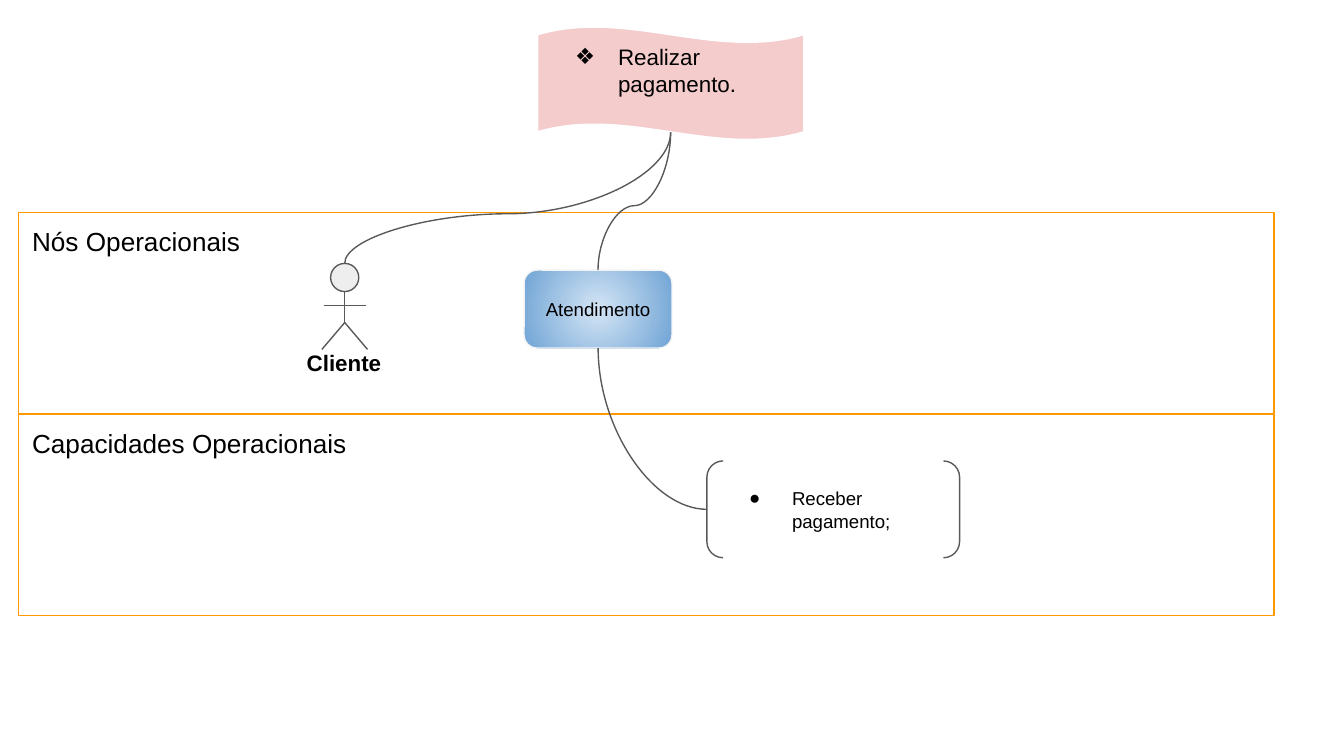
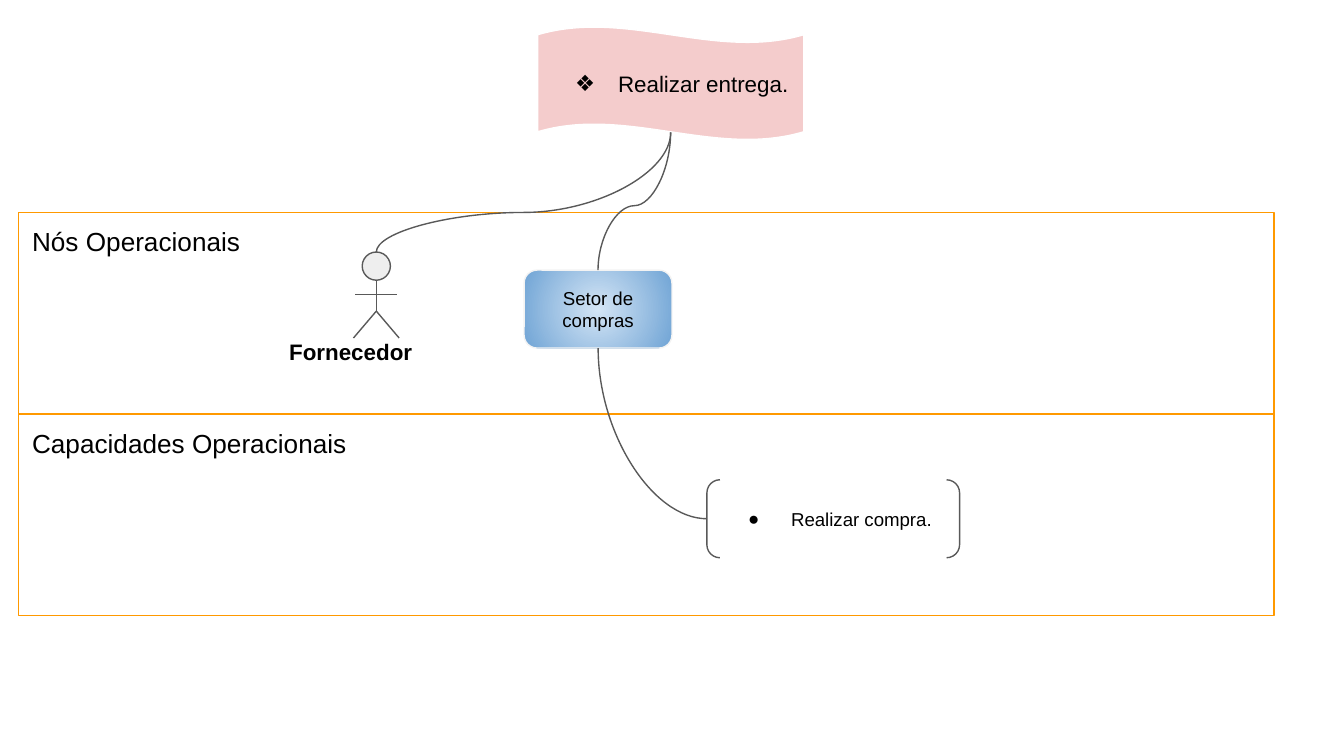
from lxml.etree import SubElement
from pptx import Presentation
from pptx.dml.color import RGBColor
from pptx.enum.shapes import MSO_CONNECTOR, MSO_SHAPE
from pptx.enum.text import MSO_ANCHOR, PP_ALIGN
from pptx.oxml import parse_xml
from pptx.oxml.ns import nsdecls, qn
from pptx.util import Inches, Pt

BLACK = RGBColor(0x00, 0x00, 0x00)
ORANGE = RGBColor(0xFF, 0x99, 0x00)
PINK = RGBColor(0xF4, 0xCC, 0xCC)
WHITE = RGBColor(0xFF, 0xFF, 0xFF)
INK = RGBColor(0x59, 0x59, 0x59)
HEAD_GRAY = RGBColor(0xEE, 0xEE, 0xEE)
NODE_EDGE = RGBColor(0xF3, 0xF3, 0xF3)
NODE_CENTER = RGBColor(0xD4, 0xE5, 0xF5)
NODE_RIM = RGBColor(0x70, 0xA4, 0xD5)

FONT = "Arial"
LINE_WIDTH = Pt(0.75)
TOP, LEFT, BOTTOM = 0, 1, 2

# The grid has 100 columns across the slide, and rows of the same size.
SLIDE_COLUMNS, SLIDE_ROWS = 100, 56.25
LANE_LEFT, LANES_TOP, LANE_WIDTH, LANE_HEIGHT = 1.4, 15.8, 93.4, 15
LANES = ("Nós Operacionais", "Capacidades Operacionais")
WAVE_DEPTH = 0.07
BRACKET_BOTTOM = 41.5


def grid(cells):
    return Inches(cells / 10)


def box(shapes, preset, left, top, width, height, edge, fill=None):
    shape = shapes.add_shape(preset, *map(grid, (left, top, width, height)))
    shape.shadow.inherit = False
    shape.line.color.rgb = edge
    shape.line.width = LINE_WIDTH
    if fill is None:
        shape.fill.background()
    else:
        shape.fill.solid()
        shape.fill.fore_color.rgb = fill
    return shape


def write(shape, text, size, align=PP_ALIGN.LEFT, anchor=MSO_ANCHOR.MIDDLE,
          bold=False, bullet=None, bottom_inset=1):
    frame = shape.text_frame
    frame.text = text
    frame.word_wrap = True
    frame.vertical_anchor = anchor
    frame.margin_left = frame.margin_right = frame.margin_top = grid(1)
    frame.margin_bottom = grid(bottom_inset)
    paragraph = frame.paragraphs[0]
    paragraph.alignment = align
    for run in paragraph.runs:
        run.font.name = FONT
        run.font.size = Pt(size)
        run.font.bold = bold
        run.font.color.rgb = BLACK
    if bullet:
        add_bullet(paragraph, bullet)


def add_bullet(paragraph, symbol):
    properties = paragraph._p.get_or_add_pPr()
    properties.set("marL", str(grid(5)))
    properties.set("indent", str(-grid(3.2)))
    color = SubElement(properties, qn("a:buClr"))
    SubElement(color, qn("a:srgbClr"), val=str(BLACK))
    SubElement(properties, qn("a:buFont"), typeface=FONT)
    SubElement(properties, qn("a:buChar"), char=symbol)


def style_connector(connector):
    connector.line.color.rgb = INK
    connector.line.width = LINE_WIDTH
    SubElement(connector._element.spPr, qn("a:effectLst"))


def curve(shapes, start, start_site, end, end_site, start_at, end_at, bend=None):
    """Leave start vertically; with a bend row, arrive at end vertically too."""
    connector = shapes.add_connector(MSO_CONNECTOR.CURVE, 0, 0, 0, 0)
    connector.begin_connect(start, start_site)
    connector.end_connect(end, end_site)
    (x1, y1), (x2, y2) = start_at, end_at
    across, down = x2 - x1, abs(y2 - y1)
    # The frame lies on its side and is turned about its centre.
    connector.left = grid((x1 + x2 - down) / 2)
    connector.top = grid((y1 + y2 - across) / 2)
    connector.width, connector.height = grid(down), grid(across)
    frame = connector._element.spPr.find(qn("a:xfrm"))
    frame.set("rot", str(270 * 60000))
    frame.set("flipH", "1" if y2 > y1 else "0")
    frame.set("flipV", "0")
    geometry = connector._element.spPr.find(qn("a:prstGeom"))
    if bend is None:
        geometry.set("prst", "curvedConnector2")
    else:
        share = round(abs(bend - y1) / down * 100000)
        SubElement(geometry.find(qn("a:avLst")), qn("a:gd"),
                   name="adj1", fmla=f"val {share}")
    style_connector(connector)


def add_lanes(shapes):
    for row, label in enumerate(LANES):
        lane = box(shapes, MSO_SHAPE.RECTANGLE, LANE_LEFT,
                   LANES_TOP + row * LANE_HEIGHT, LANE_WIDTH, LANE_HEIGHT, ORANGE)
        write(lane, label, 14, anchor=MSO_ANCHOR.TOP)


def add_goal(shapes, text, bottom_inset):
    goal = box(shapes, MSO_SHAPE.WAVE, 40, 2, 19.8, 8.4, WHITE, PINK)
    goal.adjustments[0] = WAVE_DEPTH
    goal.adjustments[1] = 0
    write(goal, text, 12, bullet="❖", bottom_inset=bottom_inset)
    return goal


def add_actor(shapes, name, x, top, label_x, label_width):
    """Draw a stick figure centred on x and return its head."""
    figure = shapes.add_group_shape().shapes
    head = box(figure, MSO_SHAPE.FLOWCHART_CONNECTOR,
               x - 1.05, top, 2.1, 2.1, INK, HEAD_GRAY)
    neck, arms, hip, feet = (top + drop for drop in (2.15, 3.15, 4.4, 6.4))
    limbs = (
        (x, neck, x, hip),
        (x - 1.55, arms, x + 1.55, arms),
        (x, hip, x - 1.7, feet),
        (x + 1.7, feet, x, hip),
    )
    for limb in limbs:
        style_connector(figure.add_connector(MSO_CONNECTOR.STRAIGHT, *map(grid, limb)))
    label = figure.add_textbox(*map(grid, (label_x - label_width / 2, top + 5.4,
                                           label_width, 3.8)))
    write(label, name, 12, PP_ALIGN.CENTER, MSO_ANCHOR.TOP, bold=True)
    return head


def add_node(shapes, text):
    node = box(shapes, MSO_SHAPE.ROUNDED_RECTANGLE, 39, 20.1, 11, 5.8, NODE_EDGE)
    properties = node._element.spPr
    properties.replace(properties.find(qn("a:noFill")), parse_xml(
        f'<a:gradFill {nsdecls("a")}><a:gsLst>'
        f'<a:gs pos="0"><a:srgbClr val="{NODE_CENTER}"/></a:gs>'
        f'<a:gs pos="100000"><a:srgbClr val="{NODE_RIM}"/></a:gs></a:gsLst>'
        '<a:path path="circle"><a:fillToRect l="50000" t="50000" r="50000" b="50000"/>'
        '</a:path></a:gradFill>'))
    write(node, text, 10, PP_ALIGN.CENTER)
    return node


def add_capability(shapes, text, height):
    capability = box(shapes, MSO_SHAPE.DOUBLE_BRACKET, 52.6,
                     BRACKET_BOTTOM - height, 18.8, height, INK)
    write(capability, text, 10, bullet="●")
    return capability


def add_process(deck, goal, goal_inset, actor, node, capability, bracket_height,
                actor_bend):
    shapes = deck.slides.add_slide(deck.slide_layouts[6]).shapes
    add_lanes(shapes)
    wave = add_goal(shapes, goal, goal_inset)
    head = add_actor(shapes, **actor)
    sector = add_node(shapes, node)
    bracket = add_capability(shapes, capability, bracket_height)

    goal_foot = (49.9, 9.85)
    curve(shapes, sector, TOP, wave, BOTTOM, (44.5, 20.1), goal_foot, 15.3)
    curve(shapes, head, TOP, wave, BOTTOM,
          (actor["x"], actor["top"]), goal_foot, actor_bend)
    curve(shapes, sector, BOTTOM, bracket, LEFT, (44.5, 25.9),
          (52.6, BRACKET_BOTTOM - bracket_height / 2))


def main():
    deck = Presentation()
    deck.slide_width, deck.slide_height = grid(SLIDE_COLUMNS), grid(SLIDE_ROWS)
    add_process(
        deck, "Realizar pagamento.", 2.9,
        dict(name="Cliente", x=25.65, top=19.6, label_x=25.6, label_width=9),
        "Atendimento", "Receber pagamento;", 7.2, actor_bend=15.9)
    add_process(
        deck, "Realizar entrega.", 1,
        dict(name="Fornecedor", x=28, top=18.75, label_x=26.1, label_width=12.8),
        "Setor de compras", "Realizar compra.", 5.8, actor_bend=15.8)
    deck.save("out.pptx")


if __name__ == "__main__":
    main()
